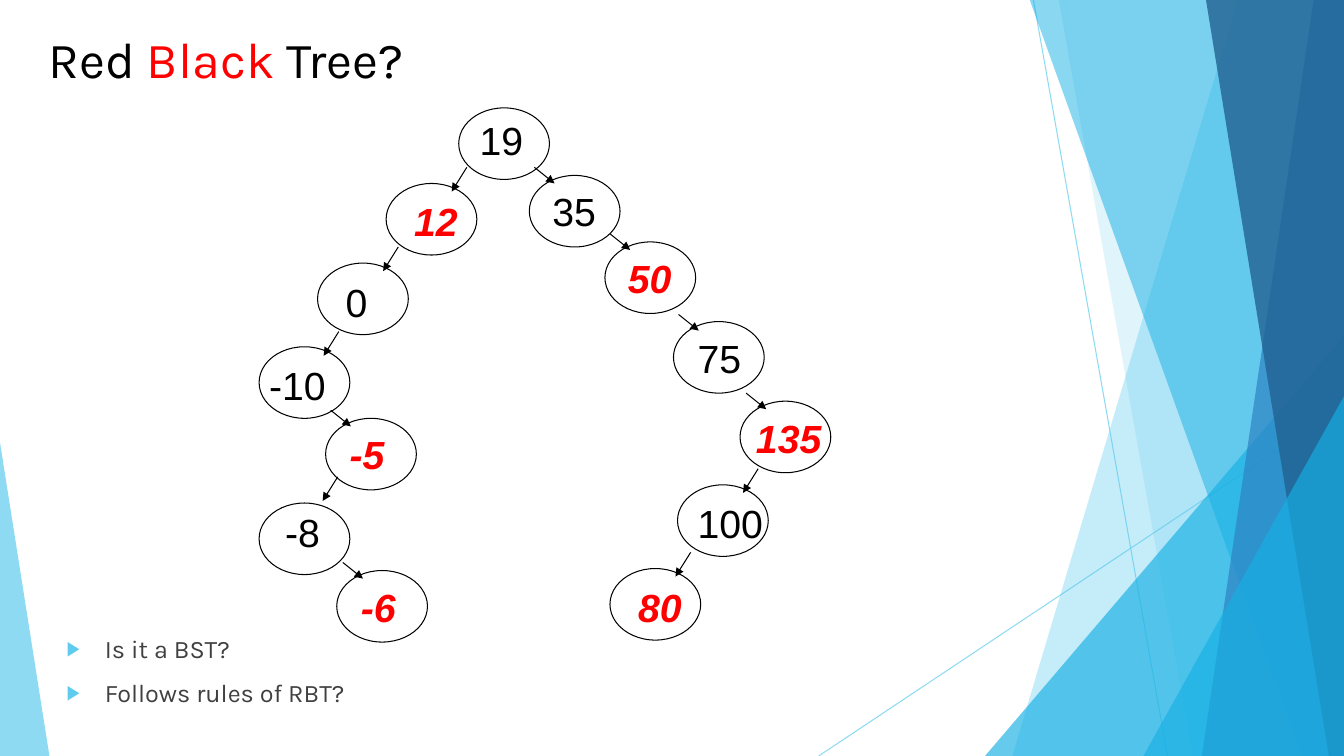
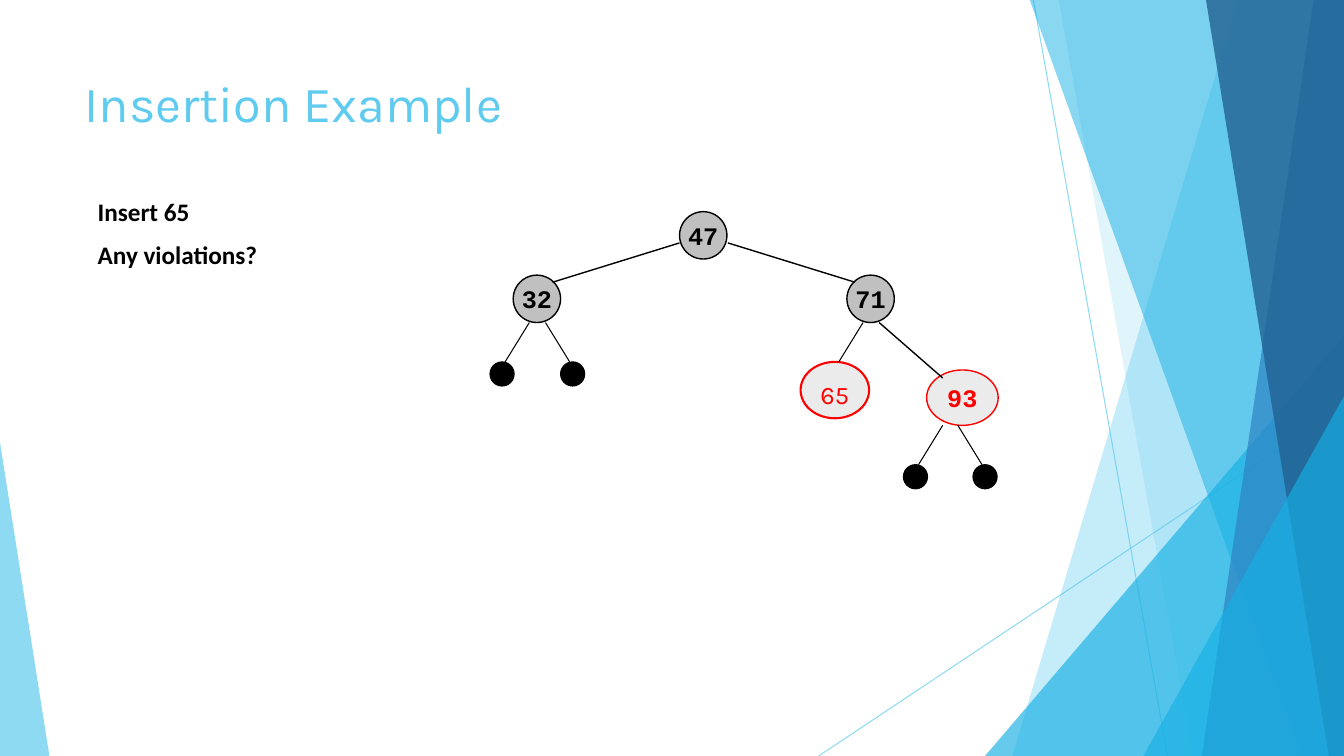
from dataclasses import dataclass

from lxml import etree
from pptx import Presentation
from pptx.dml.color import RGBColor
from pptx.enum.shapes import MSO_CONNECTOR as Connector, MSO_SHAPE as Preset
from pptx.enum.text import MSO_ANCHOR as Anchor, MSO_AUTO_SIZE as AutoSize, PP_ALIGN as Align
from pptx.oxml.ns import qn
from pptx.util import Inches, Pt

SKY, CYAN, BLUE, NAVY = "5FCBEF", "17B0E4", "2E83C3", "226292"
BLACK, RED, GRAY, SILVER, PALE = "000000", "FF0000", "404040", "C0C0C0", "EBEBEB"
WIDTH, HEIGHT = 13.33, 7.5


@dataclass
class Band:
    """A full-height band from a slanted left edge to the right border."""
    top_x: float
    bottom_x: float
    color: str
    alpha: int


@dataclass
class Wedge:
    """A triangle standing on the lower border."""
    left: float
    top: float
    width: float
    apex: int
    color: str
    alpha: int


@dataclass
class Ray:
    start: tuple[float, float]
    end: tuple[float, float]


@dataclass
class TreeNode:
    label: str
    left: float
    top: float
    label_left: float
    label_top: float
    red: bool = False


@dataclass
class FilledNode:
    label: str
    left: float
    top: float
    width: float = 0.47
    height: float = 0.47
    fill: str = SILVER
    color: str = BLACK
    line_width: float = 1
    font: str = "Courier New"
    bold: bool = True
    drop: float = 0


# Theme art, from back to front
BACKDROP = [
    Ray((10.25, 0), (11.58, HEIGHT)),
    Ray((WIDTH, 4.03), (8.12, HEIGHT)),
    Band(12.28, 10.04, SKY, 36),
    Band(10.5, 11.83, SKY, 20),
    Wedge(9.77, 3.33, 3.56, 1, CYAN, 66),
    Band(10.21, 12.91, CYAN, 50),
    Band(13.03, 11.92, BLUE, 70),
    Band(11.96, 13.18, NAVY, 80),
    Wedge(11.34, 3.93, 1.99, 1, CYAN, 66),
    Wedge(0, 4.39, 0.49, 0, SKY, 70),
]

SEARCH_TREE = [
    TreeNode("19", 4.55, 1.07, 4.66, 1.1),
    TreeNode("12", 3.83, 1.82, 4.01, 1.91, True),
    TreeNode("35", 5.25, 1.74, 5.38, 1.81),
    TreeNode("0", 3.15, 2.61, 3.33, 2.71),
    TreeNode("-10", 2.57, 3.44, 2.57, 3.54),
    TreeNode("-5", 3.23, 4.15, 3.37, 4.22, True),
    TreeNode("-8", 2.57, 4.99, 2.73, 4.99),
    TreeNode("-6", 3.34, 5.66, 3.48, 5.74, True),
    TreeNode("50", 6, 2.4, 6.13, 2.47, True),
    TreeNode("75", 6.68, 3.19, 6.82, 3.27),
    TreeNode("135", 7.34, 3.98, 7.4, 4.06, True),
    TreeNode("100", 6.72, 4.81, 6.82, 4.9),
    TreeNode("80", 6.05, 5.64, 6.23, 5.74, True),
]
# Arrow starts, grouped by the step they share
ARROWS = {
    (-0.15, 0.24): [(4.63, 1.66), (3.95, 2.45), (3.36, 3.29), (3.35, 4.73),
                    (7.52, 4.65), (6.85, 5.48)],
    (0.2, 0.16): [(5.3, 1.66), (3.28, 4.07), (3.4, 5.58), (6.05, 2.32),
                  (6.73, 3.12), (7.4, 3.9)],
}

INSERTION_TREE = [
    FilledNode("47", 6.74, 2.1),
    FilledNode("71", 8.4, 2.73),
    FilledNode("32", 5.09, 2.73),
    FilledNode("93", 9.19, 3.67, 0.71, 0.55, PALE, RED),
    FilledNode("65", 7.94, 3.59, 0.68, 0.56, PALE, RED, 1.5, "Karla", False, 0.08),
]
EDGES = [
    ((6.74, 2.41), (5.48, 2.8)),
    ((7.22, 2.41), (8.48, 2.8)),
    ((8.72, 3.2), (9.35, 3.75)),
]
# Start of each leaf edge and its side (-1 left, 1 right)
LEAVES = [(5.25, 3.2, -1), (5.41, 3.2, 1), (9.35, 4.22, -1), (9.5, 4.22, 1)]


def rgb(color: str) -> RGBColor:
    return RGBColor.from_string(color)


def set_alpha(shape, percent: int) -> None:
    for color in shape.element.iter(qn("a:srgbClr")):
        etree.SubElement(color, qn("a:alpha"), val=str(percent * 1000))


def place(shape, left: float, top: float, width: float, height: float) -> None:
    shape.left, shape.top = Inches(left), Inches(top)
    shape.width, shape.height = Inches(width), Inches(height)


def add_run(paragraph, text: str, size: float, font: str, color: str,
            bold: bool = False, italic: bool = False) -> None:
    run = paragraph.add_run()
    run.text = text
    run.font.size, run.font.name = Pt(size), font
    run.font.bold, run.font.italic = bold, italic
    run.font.color.rgb = rgb(color)


def add_line(slide, start: tuple, end: tuple, color: str = BLACK,
             width: float = 0.75, arrow: bool = False):
    line = slide.shapes.add_connector(
        Connector.STRAIGHT, *(Inches(value) for value in (*start, *end)))
    line.line.color.rgb = rgb(color)
    line.line.width = Pt(width)
    if arrow:
        outline = next(line.element.iter(qn("a:ln")))
        etree.SubElement(outline, qn("a:tailEnd"), type="triangle")
    etree.SubElement(line.element.spPr, qn("a:effectLst"))
    return line


def style_shape(shape, fill: str | None, line: str | None, width: float = 0.75) -> None:
    shape.shadow.inherit = False
    if fill:
        shape.fill.solid()
        shape.fill.fore_color.rgb = rgb(fill)
    else:
        shape.fill.background()
    if line:
        shape.line.color.rgb = rgb(line)
        shape.line.width = Pt(width)
    else:
        shape.line.fill.background()


def add_ellipse(slide, left: float, top: float, width: float, height: float,
                fill: str | None, line: str, line_width: float = 0.75):
    ellipse = slide.shapes.add_shape(
        Preset.OVAL, Inches(left), Inches(top), Inches(width), Inches(height))
    style_shape(ellipse, fill, line, line_width)
    return ellipse


def add_backdrop_part(slide, part: Ray | Band | Wedge):
    if isinstance(part, Ray):
        shape = add_line(slide, part.start, part.end, SKY)
        set_alpha(shape, 70)
        return shape
    if isinstance(part, Band):
        builder = slide.shapes.build_freeform(Inches(part.top_x), Inches(-0.01))
        corners = [(WIDTH, -0.01), (WIDTH, HEIGHT), (part.bottom_x, HEIGHT)]
        builder.add_line_segments([(Inches(x), Inches(y)) for x, y in corners])
        shape = builder.convert_to_shape()
    else:
        shape = slide.shapes.add_shape(
            Preset.ISOSCELES_TRIANGLE, Inches(part.left), Inches(part.top),
            Inches(part.width), Inches(HEIGHT - part.top))
        shape.adjustments[0] = part.apex
    style_shape(shape, part.color, None)
    set_alpha(shape, part.alpha)
    return shape


def move_backdrop_to_master(presentation, slide) -> None:
    """Draw the theme art once and hand it to the slide master."""
    tree = presentation.slide_master.shapes.element
    for index, part in enumerate(BACKDROP):
        element = add_backdrop_part(slide, part).element
        next(element.iter(qn("p:cNvPr"))).set("id", str(100 + index))
        tree.insert(2 + index, element)


def set_title(slide, left: float, top: float, height: float,
              pieces: list[tuple[str, str]]) -> None:
    title = slide.shapes.title
    place(title, left, top, 9.4, height)
    frame = title.text_frame
    frame.vertical_anchor, frame.auto_size = Anchor.TOP, AutoSize.NONE
    paragraph = frame.paragraphs[0]
    paragraph.alignment = Align.LEFT
    for text, color in pieces:
        add_run(paragraph, text, 36, "Karla", color)


def add_bullet(paragraph) -> None:
    properties = paragraph._p.get_or_add_pPr()
    properties.set("marL", str(Inches(0.38)))
    properties.set("indent", str(Inches(-0.38)))
    color = etree.SubElement(properties, qn("a:buClr"))
    etree.SubElement(color, qn("a:srgbClr"), val=SKY)
    etree.SubElement(properties, qn("a:buSzPct"), val="80000")
    etree.SubElement(properties, qn("a:buFont"), typeface="Arial")
    etree.SubElement(properties, qn("a:buChar"), char="▶")


def write_lines(frame, lines: list[str], gap: float, font: str, color: str,
                bold: bool = False, bullets: bool = False) -> None:
    for index, text in enumerate(lines):
        paragraph = frame.add_paragraph() if index else frame.paragraphs[0]
        if bullets:
            add_bullet(paragraph)
        paragraph.space_before = Pt(gap if index else 0)
        add_run(paragraph, text, 18, font, color, bold)


def add_tree_node(slide, node: TreeNode) -> None:
    add_ellipse(slide, node.left, node.top, 0.9, 0.71, None, BLACK)
    width = 0.2 + sum(0.13 if letter == "-" else 0.22 for letter in node.label)
    box = slide.shapes.add_textbox(Inches(node.label_left), Inches(node.label_top),
                                   Inches(width), Inches(0.57))
    box.text_frame.word_wrap = False
    box.text_frame.auto_size = AutoSize.SHAPE_TO_FIT_TEXT
    add_run(box.text_frame.paragraphs[0], node.label, 28, "Arial",
            RED if node.red else BLACK, node.red, node.red)


def add_filled_node(slide, node: FilledNode) -> None:
    ellipse = add_ellipse(slide, node.left, node.top, node.width, node.height,
                          node.fill, node.color, node.line_width)
    frame = ellipse.text_frame
    frame.word_wrap, frame.vertical_anchor = False, Anchor.MIDDLE
    frame.margin_left = frame.margin_right = frame.margin_bottom = 0
    frame.margin_top = Inches(node.drop)
    frame.paragraphs[0].alignment = Align.CENTER
    add_run(frame.paragraphs[0], node.label, 18, node.font, node.color, node.bold)


def build_question_slide(slide) -> None:
    set_title(slide, 0.38, 0.23, 0.87, [("Red ", BLACK), ("Black ", RED), ("Tree?", BLACK)])
    for node in SEARCH_TREE:
        add_tree_node(slide, node)
    for (dx, dy), starts in ARROWS.items():
        for x, y in starts:
            add_line(slide, (x, y), (x + dx, y + dy), arrow=True)
    body = slide.placeholders[1]
    place(body, 0.56, 6.23, 4.73, 1.19)
    body.text_frame.auto_size = AutoSize.NONE
    write_lines(body.text_frame, ["Is it a BST?", "Follows rules of RBT?"],
                10, "Karla", GRAY, bullets=True)


def build_insertion_slide(slide) -> None:
    set_title(slide, 0.74, 0.67, 1.44, [("Insertion Example", SKY)])
    box = slide.shapes.add_textbox(Inches(0.87), Inches(1.9), Inches(3.08), Inches(0.86))
    box.text_frame.word_wrap = True
    write_lines(box.text_frame, ["Insert 65", "Any violations?"], 9, "Calibri", BLACK, bold=True)
    for node in INSERTION_TREE:
        add_filled_node(slide, node)
    for start, end in EDGES:
        add_line(slide, start, end, width=1)
    add_line(slide, (8.56, 3.2), (8.32, 3.59))
    # Black leaves
    for x, y, side in LEAVES:
        add_line(slide, (x, y), (x + side * 0.24, y + 0.39))
        add_ellipse(slide, x + side * 0.27 - 0.12, y + 0.39, 0.24, 0.24, BLACK, BLACK)


def main() -> None:
    presentation = Presentation()
    presentation.slide_width, presentation.slide_height = Inches(WIDTH), Inches(HEIGHT)
    layouts = presentation.slide_layouts
    question = presentation.slides.add_slide(layouts[1])
    move_backdrop_to_master(presentation, question)
    build_question_slide(question)
    build_insertion_slide(presentation.slides.add_slide(layouts[5]))
    presentation.save("out.pptx")


if __name__ == "__main__":
    main()
